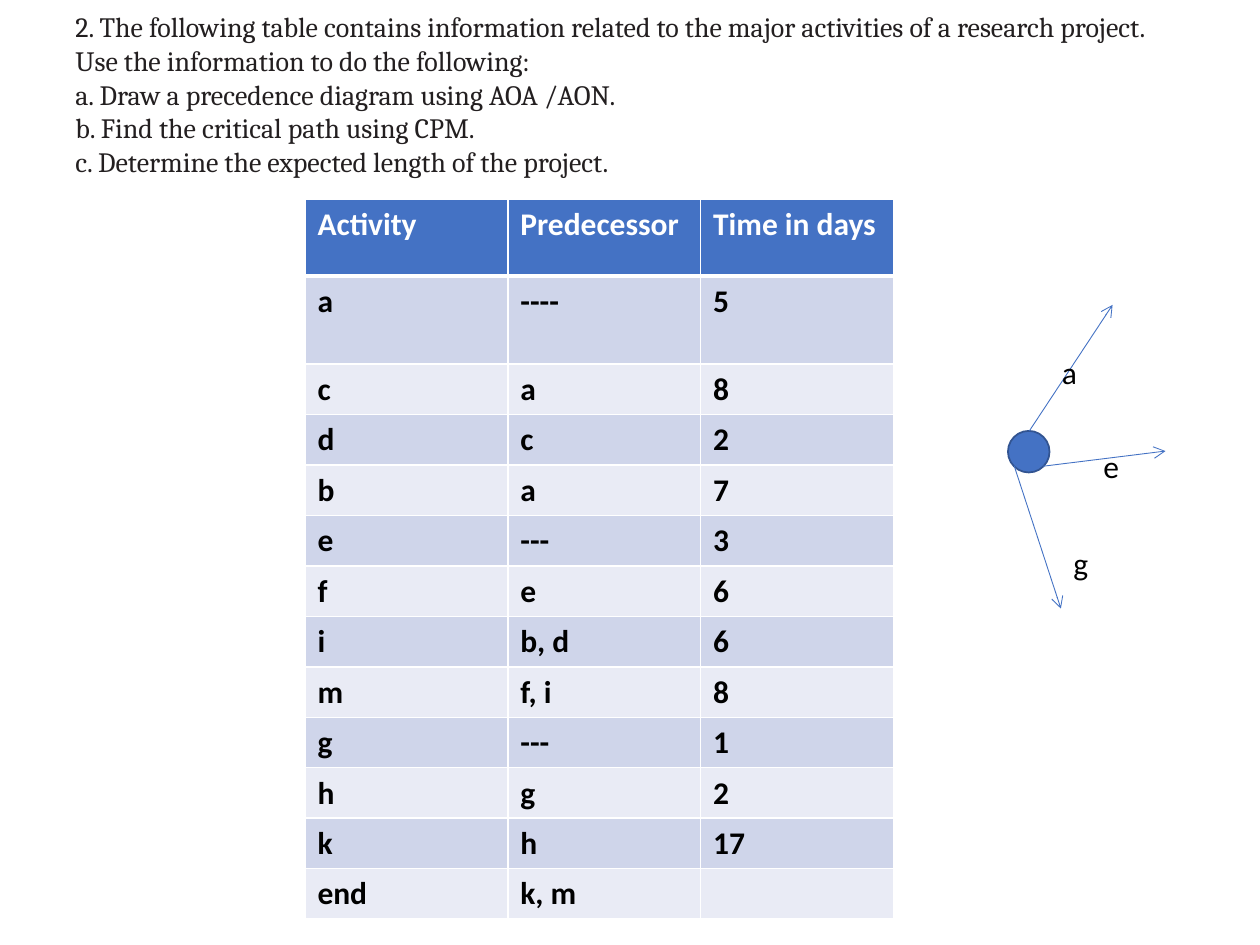
import pptx
import pptx.dml.color
import pptx.enum.shapes
import pptx.oxml.ns
import pptx.util
from lxml import etree

Inches = pptx.util.Inches
Pt = pptx.util.Pt
RGBColor = pptx.dml.color.RGBColor

BLUE = RGBColor(0x44, 0x72, 0xC4)
DARK_BLUE = RGBColor(0x32, 0x54, 0x91)
BAND_DARK = RGBColor(0xCF, 0xD5, 0xEA)
BAND_LIGHT = RGBColor(0xE9, 0xEB, 0xF5)
WHITE = RGBColor(0xFF, 0xFF, 0xFF)
BLACK = RGBColor(0, 0, 0)
INK = RGBColor(0x23, 0x1F, 0x20)

QUESTION = [
    "2. The following table contains information related to the major "
    "activities of a research project. Use the information to do the following:",
    "a. Draw a precedence diagram using AOA /AON.",
    "b. Find the critical path using CPM.",
    "c. Determine the expected length of the project.",
]
ACTIVITIES = [
    ("Activity", "Predecessor", "Time in days"),
    ("a", "----", "5"),
    ("c", "a", "8"),
    ("d", "c", "2"),
    ("b", "a", "7"),
    ("e", "---", "3"),
    ("f", "e", "6"),
    ("i", "b, d", "6"),
    ("m", "f, i", "8"),
    ("g", "---", "1"),
    ("h", "g", "2"),
    ("k", "h", "17"),
    ("end", "k, m", ""),
]
COLUMN_WIDTHS = [1.61, 1.53, 1.53]
ROW_HEIGHTS = [0.61, 0.7] + [0.4] * 11

# Arrow start, arrow end, label, label position and width
ARROWS = [
    ((8.17, 3.42), (8.83, 2.42), "a", (8.33, 2.75, 0.32)),
    ((8.28, 3.7), (9.25, 3.58), "e", (8.66, 3.5, 0.33)),
    ((8.05, 3.7), (8.42, 4.83), "g", (8.42, 4.27, 0.32)),
]


def write_text(text_frame, lines, size=18, font="Calibri", color=BLACK, bold=False):
    for index, line in enumerate(lines):
        paragraph = text_frame.add_paragraph() if index else text_frame.paragraphs[0]
        paragraph.font.size = Pt(size)
        run = paragraph.add_run()
        run.text = line
        run.font.size = Pt(size)
        run.font.name = font
        run.font.bold = bold
        run.font.color.rgb = color


def add_text(slide, lines, left, top, width, height, wrap=True, **text_format):
    box = slide.shapes.add_textbox(*map(Inches, (left, top, width, height)))
    box.text_frame.word_wrap = wrap
    write_text(box.text_frame, lines, **text_format)


def add_borders(cell, **widths):
    properties = cell._tc.get_or_add_tcPr()
    for side in ("L", "R", "T", "B"):
        width = Pt(widths.get(side, 1))
        border = etree.SubElement(
            properties, pptx.oxml.ns.qn("a:ln" + side), w=str(int(width)))
        fill = etree.SubElement(border, pptx.oxml.ns.qn("a:solidFill"))
        etree.SubElement(fill, pptx.oxml.ns.qn("a:srgbClr"), val=str(WHITE))


def add_activity_table(slide):
    frame = slide.shapes.add_table(
        len(ACTIVITIES), len(COLUMN_WIDTHS), Inches(2.42), Inches(1.58),
        Inches(sum(COLUMN_WIDTHS)), Inches(sum(ROW_HEIGHTS)))
    table = frame.table
    for column, width in zip(table.columns, COLUMN_WIDTHS):
        column.width = Inches(width)
    for index, (row, height, values) in enumerate(
            zip(table.rows, ROW_HEIGHTS, ACTIVITIES)):
        row.height = Inches(height)
        is_header = index == 0
        band = BAND_DARK if index % 2 else BAND_LIGHT
        for cell, value in zip(row.cells, values):
            # The rule under the header is thicker than the rest
            add_borders(cell, B=3 if is_header else 1, T=3 if index == 1 else 1)
            cell.fill.solid()
            cell.fill.fore_color.rgb = BLUE if is_header else band
            write_text(cell.text_frame, [value], bold=True,
                       color=WHITE if is_header else BLACK)


def add_node(slide, left, top, diameter):
    node = slide.shapes.add_shape(
        pptx.enum.shapes.MSO_SHAPE.OVAL, Inches(left), Inches(top),
        Inches(diameter), Inches(diameter))
    node.shadow.inherit = False
    node.fill.solid()
    node.fill.fore_color.rgb = BLUE
    node.line.color.rgb = DARK_BLUE
    node.line.width = Pt(1)


def add_arrow(slide, start, end):
    arrow = slide.shapes.add_connector(
        pptx.enum.shapes.MSO_CONNECTOR.STRAIGHT, *map(Inches, start + end))
    arrow.line.color.rgb = BLUE
    arrow.line.width = Pt(0.5)
    etree.SubElement(arrow.line._get_or_add_ln(),
                     pptx.oxml.ns.qn("a:tailEnd"), type="arrow")
    etree.SubElement(arrow._element.spPr, pptx.oxml.ns.qn("a:effectLst"))


def main():
    presentation = pptx.Presentation()
    presentation.slide_width = Inches(10)
    presentation.slide_height = Inches(7.5)
    slide = presentation.slides.add_slide(presentation.slide_layouts[6])

    # Question and data
    add_text(slide, QUESTION, 0.5, 0.03, 8.75, 1.72,
             size=16, font="Cambria", color=INK)
    add_activity_table(slide)

    # Start of the precedence diagram
    add_node(slide, 8, 3.42, 0.33)
    for start, end, label, (left, top, width) in ARROWS:
        add_arrow(slide, start, end)
        add_text(slide, [label], left, top, width, 0.4, wrap=False)

    presentation.save("out.pptx")


if __name__ == "__main__":
    main()
